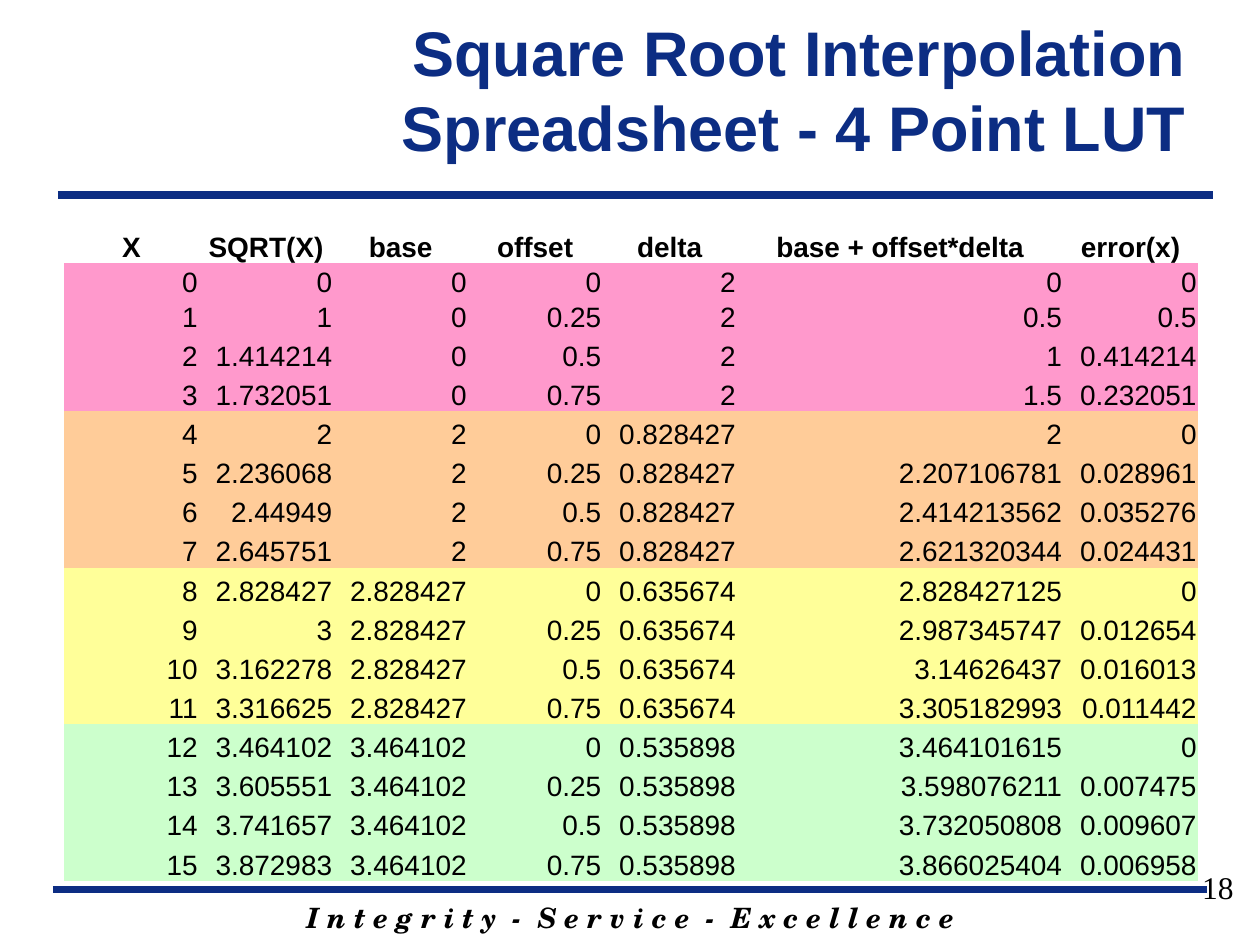
from dataclasses import dataclass
from math import sqrt

from lxml import etree
from pptx import Presentation
from pptx.dml.color import RGBColor
from pptx.enum.shapes import MSO_CONNECTOR
from pptx.enum.text import MSO_ANCHOR, PP_ALIGN
from pptx.oxml.ns import qn
from pptx.util import Inches, Pt

LEFT, CENTER, RIGHT = PP_ALIGN.LEFT, PP_ALIGN.CENTER, PP_ALIGN.RIGHT
TOP, MIDDLE, BOTTOM = MSO_ANCHOR.TOP, MSO_ANCHOR.MIDDLE, MSO_ANCHOR.BOTTOM
STRAIGHT = MSO_CONNECTOR.STRAIGHT
PLAIN_TABLE = "{2D5ABB26-0587-4C30-8999-92F81FD0307C}"  # no style, no grid


@dataclass(frozen=True)
class Theme:
    navy: str = "0C2D83"
    black: str = "000000"
    bands: tuple = ("FF99CC", "FFCC99", "FFFF99", "CCFFCC")
    sans: str = "Arial"
    serif: str = "Times New Roman"
    motto: str = "TeX Gyre Schola"
    title_size: int = 36
    number_size: int = 18
    body_size: int = 16
    rule_width: float = 4.5


class Deck:
    """Holds the theme and the current slide; lengths are cells of a 100 x 75 grid."""

    def __init__(self, theme):
        self.theme = theme
        self.prs = Presentation()
        self.prs.slide_width, self.prs.slide_height = Inches(10), Inches(7.5)
        self.slide = self.prs.slides.add_slide(self.prs.slide_layouts[6])

    def grid(self, *cells):
        return [int(self.prs.slide_width * c / 100) for c in cells]

    def format(self, tf, text, size, font, color, align, bold=False, italic=False):
        tf.text = text
        p = tf.paragraphs[0]
        p.alignment = align
        f = p.runs[0].font
        f.size, f.name, f.bold, f.italic = Pt(size), font, bold, italic
        f.color.rgb = RGBColor.from_string(color)

    def text(self, box, text, size, font, color, align, anchor=TOP, **style):
        tf = self.slide.shapes.add_textbox(*self.grid(*box)).text_frame
        tf.word_wrap = True
        tf.vertical_anchor = anchor
        self.format(tf, text, size, font, color, align, **style)

    def rule(self, left, right, y):
        sp = self.slide.shapes.add_connector(STRAIGHT, *self.grid(left, y, right, y))
        sp.line.color.rgb = RGBColor.from_string(self.theme.navy)
        sp.line.width = Pt(self.theme.rule_width)
        etree.SubElement(sp._element.spPr, qn("a:effectLst"))

    def table(self, left, top, widths, heights, rows, fills):
        t = self.theme
        frame = self.slide.shapes.add_table(
            len(rows), len(widths), *self.grid(left, top, sum(widths), sum(heights)))
        table = frame.table
        table.first_row = table.horz_banding = False
        table._tbl.tblPr.find(qn("a:tableStyleId")).text = PLAIN_TABLE
        for column, width in zip(table.columns, self.grid(*widths)):
            column.width = width
        for row, height in zip(table.rows, self.grid(*heights)):
            row.height = height
        for i, (row, fill) in enumerate(zip(rows, fills)):
            for j, value in enumerate(row):
                cell = table.cell(i, j)
                cell.margin_left = cell.margin_right = cell.margin_top = Inches(0.01)
                cell.margin_bottom = 0
                cell.vertical_anchor = BOTTOM
                self.format(cell.text_frame, value, t.body_size, t.sans, t.black,
                            RIGHT if fill else CENTER, bold=not fill)
                if fill:
                    cell.fill.solid()
                    cell.fill.fore_color.rgb = RGBColor.from_string(fill)
                else:
                    cell.fill.background()


def number(value, decimals=6):
    return f"{round(value, decimals):.10g}"


def interpolation_row(x, step=4):
    """Square root of x against the line between its two table points."""
    start = x - x % step
    base = sqrt(start)
    offset = (x - start) / step
    delta = sqrt(start + step) - base
    estimate = base + offset * delta
    return [str(x), number(sqrt(x)), number(base), number(offset), number(delta),
            number(estimate, 9), number(abs(sqrt(x) - estimate))]


def main():
    theme = Theme()
    deck = Deck(theme)

    # Rules and motto
    deck.rule(4.2, 95.8, 70.6)
    deck.rule(4.6, 96.3, 15.5)
    deck.text((14.2, 71, 71.7, 3.7),
              "I n t e g r i t y  -  S e r v i c e  -  E x c e l l e n c e",
              theme.body_size, theme.motto, theme.black, CENTER, bold=True, italic=True)

    # Title and slide number
    deck.text((20.9, 0.8, 74.2, 12.5), "Square Root Interpolation Spreadsheet - 4 Point LUT",
              theme.title_size, theme.sans, theme.navy, RIGHT, MIDDLE, bold=True)
    deck.text((75.6, 68.4, 23.3, 5.2), "18",
              theme.number_size, theme.serif, theme.black, RIGHT)

    # Interpolation table: four rows per lookup point
    header = ["X", "SQRT(X)", "base", "offset", "delta", "base + offset*delta", "error(x)"]
    rows = [header] + [interpolation_row(x) for x in range(16)]
    fills = [None] + [theme.bands[x // 4] for x in range(16)]
    widths = [10.68] * 5 + [25.9, 10.68]
    heights = [3.1] + [2.6] * 2 + [3.11] * 14
    deck.table(5.1, 17.8, widths, heights, rows, fills)

    deck.prs.save("out.pptx")


if __name__ == "__main__":
    main()
